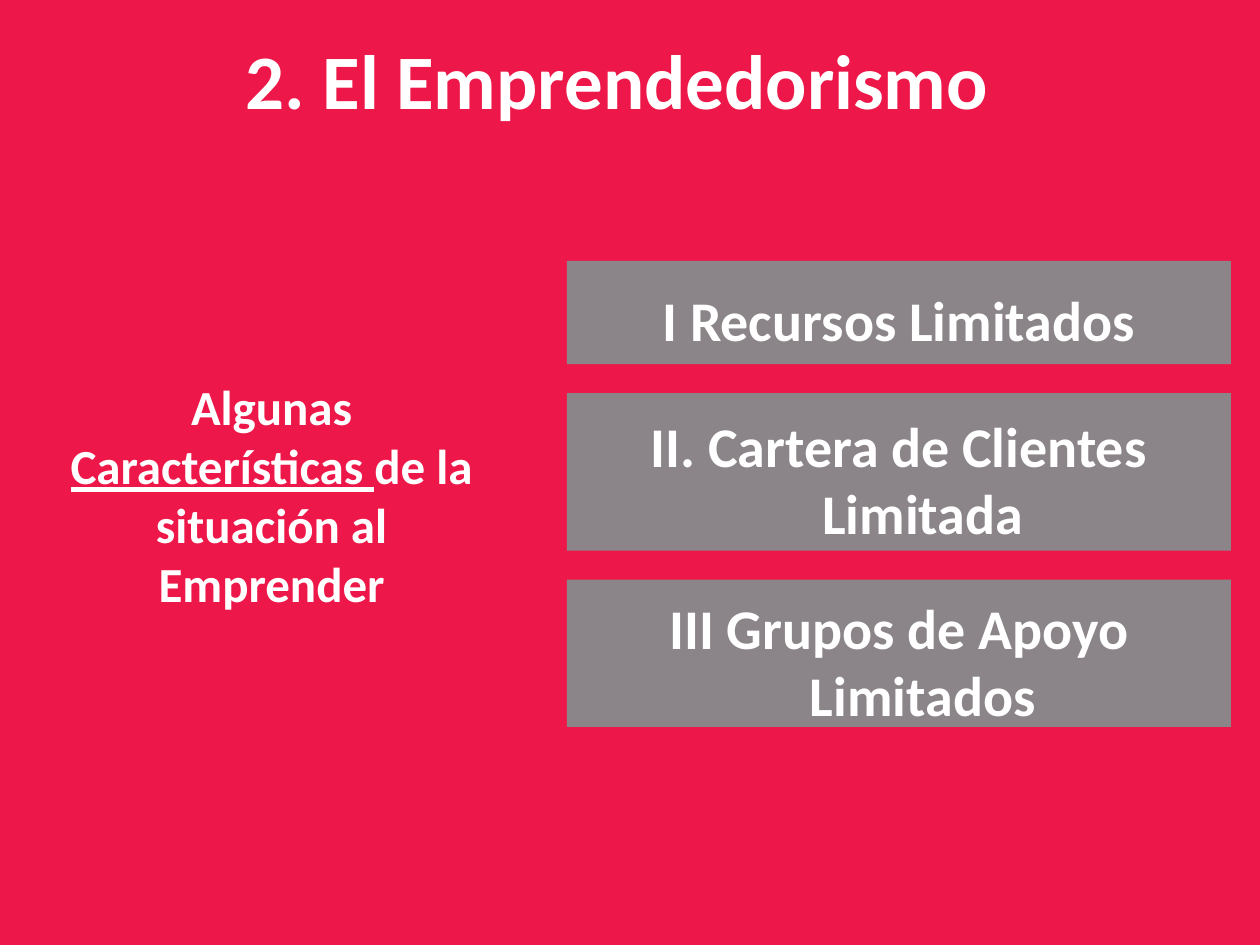
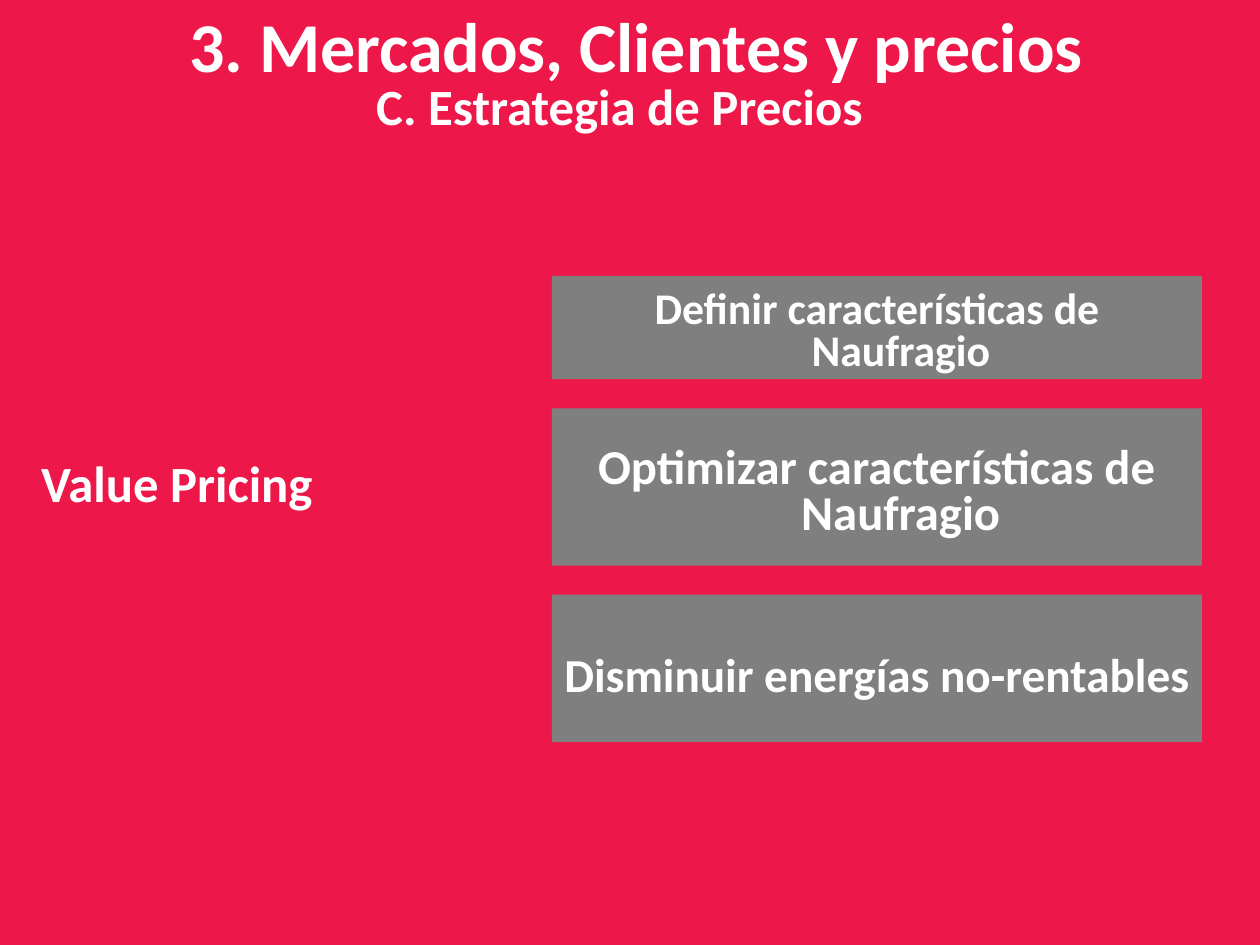
from pptx import Presentation
from pptx.dml.color import RGBColor
from pptx.enum import shapes, text
from pptx.util import Inches, Pt

RED = RGBColor(0xED, 0x18, 0x49)
WARM_GRAY = RGBColor(0x8B, 0x85, 0x89)
GRAY = RGBColor(0x7F, 0x7F, 0x7F)
WHITE = RGBColor(0xFF, 0xFF, 0xFF)

FONT = {"name": "Calibri", "bold": True}
INDENT = 0.38
BOX_HEIGHTS = (0.82, 1.25, 1.17)
BOX_GAP = 0.23


def add_slide(presentation):
    slide = presentation.slides.add_slide(presentation.slide_layouts[6])
    slide.background.fill.solid()
    slide.background.fill.fore_color.rgb = RED
    return slide


def write(shape, runs, size, top_inset=0.05, line_spacing=None, left=0, first=0):
    """Fill a shape with one centred paragraph of (wording, underline) runs."""
    frame = shape.text_frame
    frame_format = {
        "word_wrap": True,
        "auto_size": text.MSO_AUTO_SIZE.NONE,
        "vertical_anchor": text.MSO_ANCHOR.MIDDLE,
        "margin_top": Inches(top_inset),
    }
    for name, value in frame_format.items():
        setattr(frame, name, value)
    paragraph = frame.paragraphs[0]
    paragraph.alignment = text.PP_ALIGN.CENTER
    if line_spacing:
        paragraph.line_spacing = line_spacing
    if left:
        properties = paragraph._p.get_or_add_pPr()
        properties.set("marL", str(Inches(left)))
        properties.set("indent", str(Inches(first)))
    for wording, underline in runs:
        run = paragraph.add_run()
        run.text = wording
        for name, value in {**FONT, "size": Pt(size), "underline": underline}.items():
            setattr(run.font, name, value)
        run.font.color.rgb = WHITE


def add_label(slide, place, runs, size, **layout):
    label = slide.shapes.add_textbox(*map(Inches, place))
    write(label, runs, size, **layout)


def add_box_stack(slide, left, top, width, color, items):
    """Stack boxes downwards; each item is wording, size, line spacing, top inset."""
    for height, (wording, size, line_spacing, top_inset) in zip(BOX_HEIGHTS, items):
        box = slide.shapes.add_shape(
            shapes.MSO_SHAPE.RECTANGLE, *map(Inches, (left, top, width, height)))
        box.shadow.inherit = False
        box.fill.solid()
        box.fill.fore_color.rgb = color
        box.line.fill.background()
        write(box, [(wording, False)], size, top_inset, line_spacing, INDENT, -INDENT)
        top += height + BOX_GAP


def build_entrepreneurship(presentation):
    slide = add_slide(presentation)
    add_label(slide, (0.47, 0, 9, 1.25), [("2. El Emprendedorismo ", False)], 44)
    situation = [("Algunas ", False), ("Características ", True),
                 ("de la situación al Emprender", False)]
    add_label(slide, (-0.13, 2.75, 4.19, 2.25), situation, 28,
              top_inset=0.15, left=INDENT)
    add_box_stack(slide, 4.5, 2.07, 5.27, WARM_GRAY, [
        ("I Recursos Limitados", 32, None, 0.16),
        ("II. Cartera de Clientes Limitada", 32, None, 0.16),
        ("III Grupos de Apoyo Limitados", 32, None, 0.16),
    ])


def build_pricing(presentation):
    slide = add_slide(presentation)
    add_label(slide, (0.55, 0, 9, 0.7),
              [("3. Mercados, Clientes y precios", False)], 40)
    add_label(slide, (0.08, 0.59, 9.77, 0.55),
              [("C. Estrategia de Precios ", False)], 29, line_spacing=0.9)
    add_label(slide, (0, 2.97, 2.81, 1.72), [("Value Pricing", False)], 29)
    add_box_stack(slide, 4.38, 2.19, 5.16, GRAY, [
        ("Definir características de Naufragio", 25, 0.8, 0.13),
        ("Optimizar características de Naufragio", 27.8, 0.8, 0.15),
        ("Disminuir energías no-rentables", 27, None, 0.13),
    ])


def main():
    presentation = Presentation()
    presentation.slide_width = Inches(10)
    presentation.slide_height = Inches(7.5)
    build_entrepreneurship(presentation)
    build_pricing(presentation)
    presentation.save("out.pptx")


if __name__ == "__main__":
    main()
